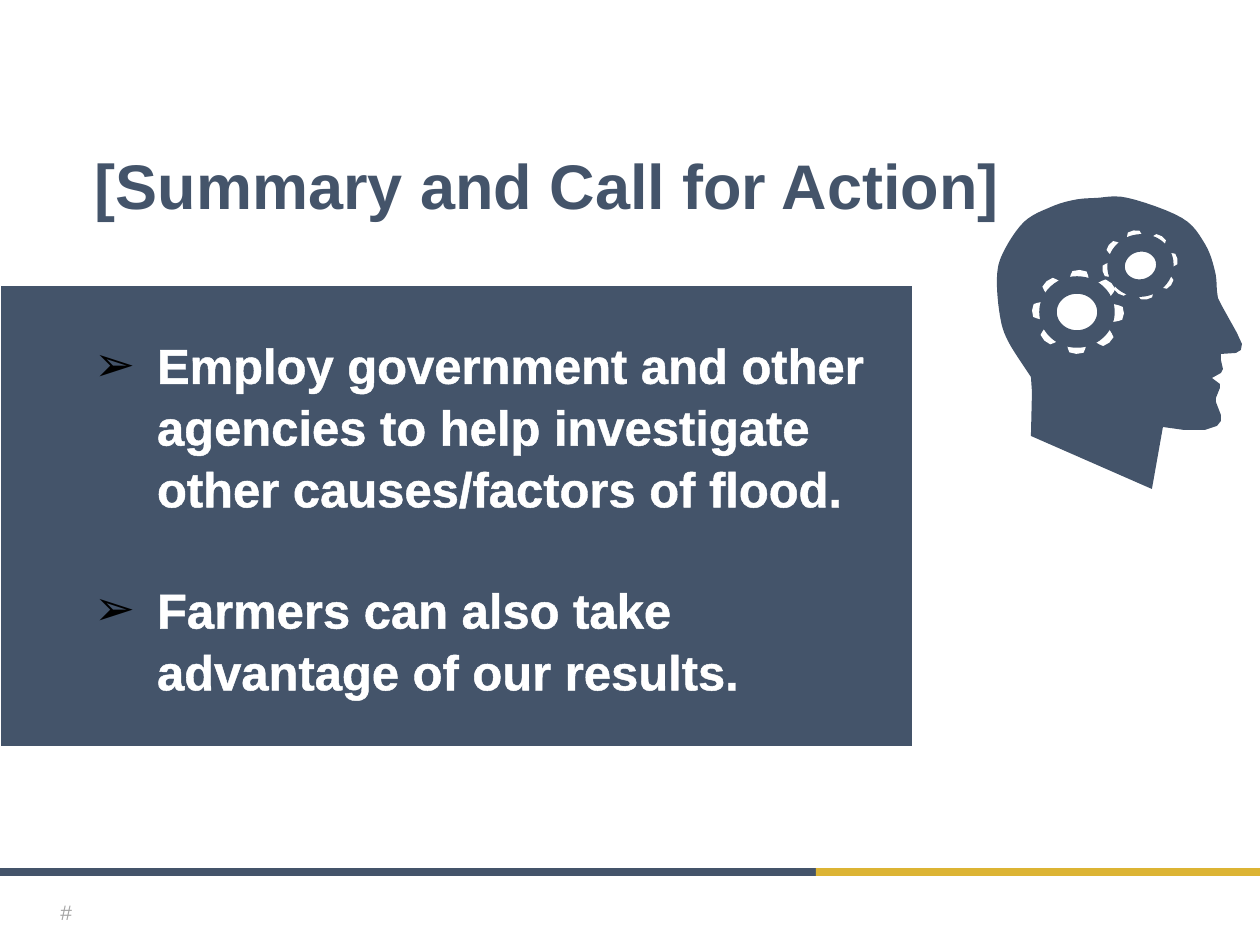
from dataclasses import dataclass
from math import cos, radians, sin

from lxml.etree import SubElement
from pptx import Presentation
from pptx.dml.color import RGBColor
from pptx.enum.shapes import MSO_SHAPE
from pptx.enum.text import MSO_ANCHOR, PP_ALIGN
from pptx.oxml import parse_xml
from pptx.oxml.ns import nsdecls, qn
from pptx.util import Emu, Pt

EMU_PER_PX = 914400 / 126
NAVY, GOLD, WHITE, GREY, BLACK = "44546A", "DCB434", "FFFFFF", "A5A5A5", "000000"

Point = tuple[float, float]


@dataclass(frozen=True)
class Box:
    left: int
    top: int
    width: int
    height: int


@dataclass(frozen=True)
class Gear:
    center: Point
    radius: Point
    hub: Box
    turn: int
    hub_rotation: float


BARS = [(Box(0, 868, 1193, 8), NAVY), (Box(816, 868, 444, 8), GOLD)]
GEARS = [
    Gear((1078, 312), (46, 42), Box(1048, 285, 58, 54), 2, 0),
    Gear((1140, 265), (38, 35), Box(1116, 243, 49, 45), -10, -15.1),
]
SKULL = [
    (1217, 291), (1215, 271), (1205, 244), (1182, 218), (1128, 198),
    (1096, 198), (1074, 200), (1051, 207), (1024, 222), (1003, 253),
    (997, 278), (1000, 316), (1008, 341), (1029, 374),
]
NECK_AND_FACE = [
    (1031, 377), (1032, 392), (1031, 436), (1152, 489), (1163, 427),
    (1184, 430), (1205, 430), (1217, 426), (1221, 421), (1221, 415),
    (1216, 402), (1216, 398), (1220, 388), (1220, 384), (1212, 378),
    (1221, 373), (1223, 369), (1221, 360), (1221, 354), (1236, 353),
    (1241, 350), (1242, 344), (1237, 333), (1222, 306), (1218, 298),
]
ACTIONS = [
    "Employ government and other agencies to help investigate other causes/factors of flood.",
    "Farmers can also take advantage of our results.",
]


def px(value: float) -> Emu:
    return Emu(round(value * EMU_PER_PX))


def color(hex_value: str) -> RGBColor:
    return RGBColor.from_string(hex_value)


def apply(target, values: dict) -> None:
    for name, value in values.items():
        setattr(target, name, value)


def place(box: Box) -> list[Emu]:
    return [px(value) for value in (box.left, box.top, box.width, box.height)]


def paint(shape, fill: str, line: str = "", width: float = 0) -> None:
    shape.shadow.inherit = False
    shape.fill.solid()
    shape.fill.fore_color.rgb = color(fill)
    if line:
        shape.line.color.rgb = color(line)
        shape.line.width = Pt(width)
    else:
        shape.line.fill.background()


def add_preset(slide, kind, box: Box, fill: str, line: str = "", width: float = 0):
    shape = slide.shapes.add_shape(kind, *place(box))
    paint(shape, fill, line, width)
    return shape


def add_outline(slide, points: list[Point], fill: str) -> None:
    corners = [(px(x), px(y)) for x, y in points]
    builder = slide.shapes.build_freeform(*corners[0])
    builder.add_line_segments(corners[1:], close=True)
    paint(builder.convert_to_shape(), fill)


def smooth_curve(points: list[Point], steps: int = 6) -> list[Point]:
    padded = [points[0], *points, points[-1]]
    curve = []
    for a, b, c, d in zip(padded, padded[1:], padded[2:], padded[3:]):
        for step in range(steps):
            t = step / steps
            curve.append(tuple(
                0.5 * (2 * q + (r - p) * t + (2 * p - 5 * q + 4 * r - s) * t**2
                       + (3 * q - p - 3 * r + s) * t**3)
                for p, q, r, s in zip(a, b, c, d)
            ))
    return [*curve, points[-1]]


def add_gear(slide, gear: Gear) -> None:
    tooth = [(-17, 0.76), (-12, 0.9), (-9, 0.98), (0, 1), (9, 0.98), (12, 0.9), (17, 0.76)]
    points = []
    for start in range(0, 360, 45):
        for offset, reach in tooth:
            angle = radians(start + offset + gear.turn)
            points.append((gear.center[0] + gear.radius[0] * reach * cos(angle),
                           gear.center[1] + gear.radius[1] * reach * sin(angle)))
    add_outline(slide, points, WHITE)
    hub = add_preset(slide, MSO_SHAPE.OVAL, gear.hub, WHITE, NAVY, 10)
    hub.rotation = gear.hub_rotation


def set_frame(shape, left: int = 13, right: int = 13):
    frame = shape.text_frame
    apply(frame, {
        "word_wrap": True, "vertical_anchor": MSO_ANCHOR.MIDDLE,
        "margin_left": px(left), "margin_right": px(right),
        "margin_top": px(6), "margin_bottom": px(6),
    })
    return frame


def write(paragraph, text: str, size: int, hex_value: str, bold: bool = False,
          align=PP_ALIGN.LEFT):
    paragraph.alignment = align
    run = paragraph.add_run()
    run.text = text
    apply(run.font, {"name": "Arial", "size": Pt(size), "bold": bold})
    run.font.color.rgb = color(hex_value)
    return run


def add_label(slide, box: Box, text: str, size: int, hex_value: str, bold: bool = False,
              align=PP_ALIGN.LEFT, right: int = 13) -> None:
    frame = set_frame(slide.shapes.add_textbox(*place(box)), right=right)
    write(frame.paragraphs[0], text, size, hex_value, bold, align)


def add_arrow_bullet(paragraph) -> None:
    properties = paragraph._p.get_or_add_pPr()
    properties.set("marL", str(px(63)))
    properties.set("indent", str(px(-63)))
    bullet_color = SubElement(properties, qn("a:buClr"))
    SubElement(bullet_color, qn("a:srgbClr"), val=BLACK)
    SubElement(properties, qn("a:buFont"), typeface="Arial")
    SubElement(properties, qn("a:buChar"), char="➢")


def outline_text(run, hex_value: str) -> None:
    run.font._element.insert(0, parse_xml(
        f'<a:ln {nsdecls("a")} w="{Pt(0.75)}"><a:solidFill>'
        f'<a:srgbClr val="{hex_value}"/></a:solidFill></a:ln>'))


def add_actions(slide) -> None:
    panel = add_preset(slide, MSO_SHAPE.RECTANGLE, Box(0, 285, 913, 462), NAVY, WHITE, 0.75)
    frame = set_frame(panel, left=94, right=35)
    for index, text in enumerate(ACTIONS):
        paragraph = frame.add_paragraph() if index else frame.paragraphs[0]
        add_arrow_bullet(paragraph)
        paragraph.line_spacing = 1.05
        if index:
            paragraph.space_before = Pt(34)
        outline_text(write(paragraph, text, 28, WHITE, True), WHITE)


def main() -> None:
    presentation = Presentation()
    apply(presentation, {"slide_width": px(1260), "slide_height": px(945)})
    slide = presentation.slides.add_slide(presentation.slide_layouts[6])
    for box, fill in BARS:
        add_preset(slide, MSO_SHAPE.RECTANGLE, box, fill)
    add_label(slide, Box(28, 887, 50, 50), "#", 12, GREY, align=PP_ALIGN.RIGHT, right=6)
    add_label(slide, Box(82, 150, 1121, 68), "[Summary and Call for Action]", 36, NAVY, True)
    add_outline(slide, smooth_curve(SKULL) + NECK_AND_FACE, NAVY)
    for gear in GEARS:
        add_gear(slide, gear)
    add_actions(slide)
    presentation.save("out.pptx")


if __name__ == "__main__":
    main()
